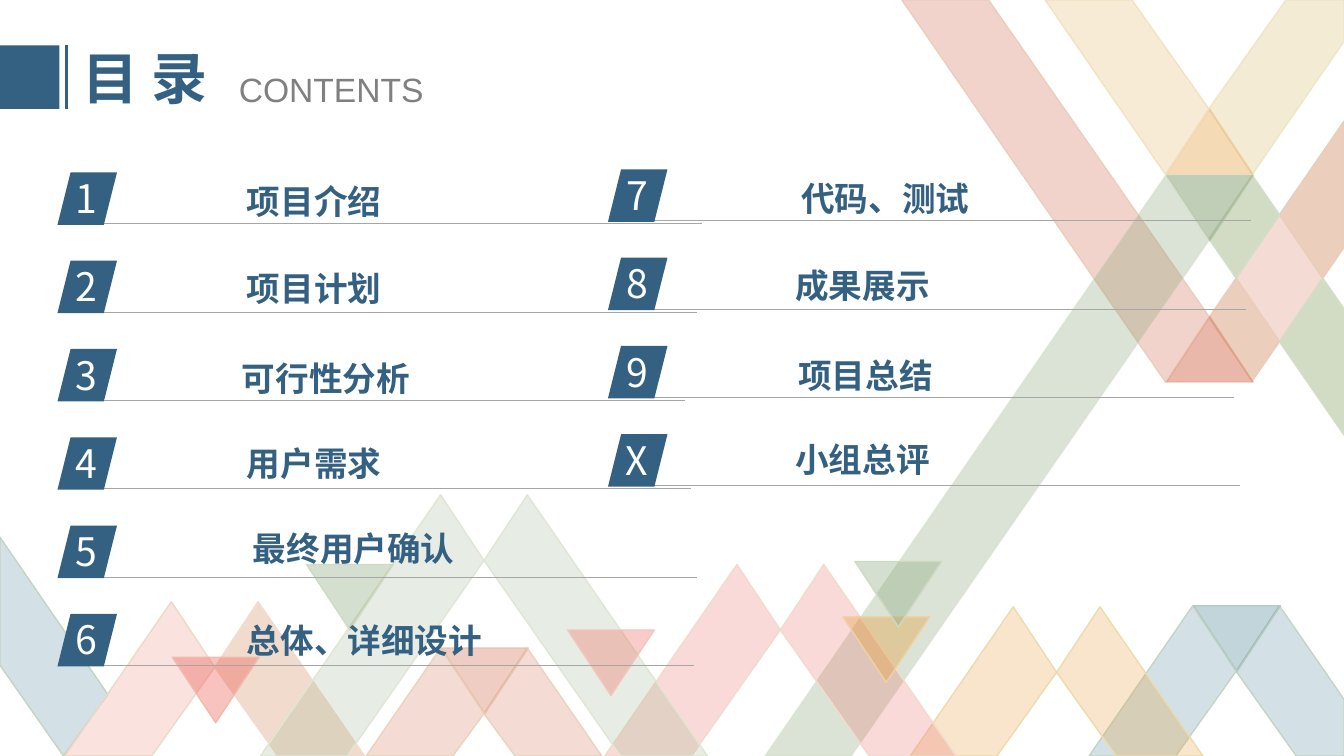
"""Build a contents slide with numbered entries over translucent ribbons."""
from dataclasses import dataclass

from lxml import etree
from pptx import Presentation
from pptx.dml.color import RGBColor
from pptx.enum.shapes import MSO_CONNECTOR, MSO_SHAPE
from pptx.enum.text import MSO_ANCHOR, MSO_AUTO_SIZE, PP_ALIGN
from pptx.oxml.ns import qn
from pptx.shapes.autoshape import Shape
from pptx.slide import Slide
from pptx.util import Inches, Pt

STRAIGHT = MSO_CONNECTOR.STRAIGHT
RECTANGLE, PARALLELOGRAM = MSO_SHAPE.RECTANGLE, MSO_SHAPE.PARALLELOGRAM
LEFT, CENTER = PP_ALIGN.LEFT, PP_ALIGN.CENTER
TOP, MIDDLE = MSO_ANCHOR.TOP, MSO_ANCHOR.MIDDLE
NO_AUTOFIT = MSO_AUTO_SIZE.NONE
TITLE_ONLY = 5

SLIDE_WIDTH, SLIDE_HEIGHT = 13.33, 7.5
SLOPE, HALF, RISE = 0.69, 0.43, 0.65
FIRST_ROW, ROW_PITCH = 1.71, 0.876
WEAVE_X, WEAVE_Y = 12.69, 2.76

Point = tuple[float, float]
Box = tuple[float, float, float, float]


@dataclass(frozen=True)
class Theme:
    """Colours, fonts and type sizes of the slide."""
    accent: str = "346182"
    rule: str = "A6A6A6"
    subtitle: str = "808080"
    white: str = "FFFFFF"
    chinese_font: str = "Noto Sans CJK SC"
    latin_font: str = "Arial"
    title_size: float = 40
    number_size: float = 28
    label_size: float = 24
    rose: str = "ED6F65"
    clay: str = "D57053"
    amber: str = "E49B35"
    sage: str = "A2B894"
    moss: str = "88A378"
    leaf: str = "89A67A"
    teal: str = "508799"
    sand: str = "F1DBCC"


THEME = Theme()


@dataclass(frozen=True)
class Paint:
    """Fill, outline and opacity of a pattern piece."""
    fill: str
    outline: str
    opacity: int = 25
    faded_outline: bool = False


@dataclass(frozen=True)
class Band:
    """A diagonal strip from its tip to the height where it is cut."""
    x: float
    y: float
    direction: int
    paint: Paint
    end: float = SLIDE_HEIGHT

    def points(self) -> list[Point]:
        """Return the corners, with the tip first."""
        down = 1 if self.end > self.y else -1
        run = self.direction * SLOPE * abs(self.end - self.y)
        tip_end, step = self.x + run, self.direction * HALF * 2
        return [(self.x, self.y), (self.x - step / 2, self.y + down * RISE),
                (tip_end - step, self.end), (tip_end, self.end)]


@dataclass(frozen=True)
class Tile:
    """A triangle where two bands cross."""
    left: float
    top: float
    paint: Paint
    points_up: bool = False

    def points(self) -> list[Point]:
        """Return the corners."""
        base, tip = self.top, self.top + RISE
        if self.points_up:
            base, tip = tip, base
        return [(self.left, base), (self.left + HALF * 2, base), (self.left + HALF, tip)]


@dataclass(frozen=True)
class Row:
    """Position of the rule end and the label of a row."""
    rule_end: float
    label_top: float


@dataclass(frozen=True)
class Column:
    """A column of numbered labels, each with its left edge."""
    left: float
    shift: float
    rule_shift: float
    numbers: str
    labels: tuple[tuple[str, float], ...]


PEAKS = (
    (1.7, 5.97, Paint("EE8F82", "EED9C6"), Paint(THEME.sand, THEME.sand, 100)),
    (4.37, 4.91, *[Paint(THEME.sage, "E0E6D3")] * 2),
    (4.37, 6.43, *[Paint(THEME.clay, "EAD3BF")] * 2),
    (11.83, 6.01, *[Paint(THEME.teal, "C4D5C6")] * 2),
    (10.05, 6.02, *[Paint(THEME.amber, "EBDCB0")] * 2),
)
ROSE_PAINT = Paint(THEME.rose, THEME.sand)
PEAK_BANDS = [Band(x + side * HALF * 2, y, 2 * side - 1, paints[side])
              for x, y, *paints in PEAKS for side in (0, 1)]
BANDS = (
    Band(7.31, 5.6, -1, ROSE_PAINT),
    Band(11.56, 1.73, -1, Paint("E7B05E", "EFE3C2"), 0),
    Band(12.42, 1.73, 1, Paint("EFE3C2", "EEE6C8", 71), 0),
    *PEAK_BANDS,
    Band(11.56, 3.79, -1, Paint(THEME.clay, "EACEBC", 30), 0),
    Band(11.56, 1.74, -1, Paint(THEME.moss, "D3DCC5", 30, True)),
    Band(8.17, 5.6, 1, ROSE_PAINT),
)
TILES = (
    Tile(11.57, 3.14, Paint(THEME.clay, "DF9B83", 49, True), True),
    Tile(11.57, 1.08, Paint(THEME.amber, "EBD09D", 36, True), True),
    Tile(11.57, 1.74, Paint(THEME.moss, "B3C4A5", 53, True)),
    Tile(4.38, 6.43, Paint(THEME.clay, "E6C6B1", 35)),
    Tile(5.63, 6.25, Paint(THEME.rose, "F2C7BA", 35)),
    Tile(11.84, 6.01, Paint(THEME.teal, "B5CAC1", 35)),
    Tile(8.36, 6.12, Paint(THEME.amber, "EBD3A3", 35)),
    Tile(1.71, 6.52, Paint("ED5249", "EFBBAB", 35)),
    Tile(3.04, 5.6, Paint(THEME.leaf, "CFDAC2", 35)),
    Tile(8.48, 5.57, Paint(THEME.leaf, "CFDAC2", 35)),
)
ROWS = (Row(6.96, 1.75), Row(6.91, 2.61), Row(6.79, 3.5),
        Row(6.85, 4.34), Row(6.91, 5.19), Row(6.88, 6.1))
COLUMNS = (
    Column(0.57, 0, 0, "123456", (
        ("项目介绍", 2.35), ("项目计划", 2.35), ("可行性分析", 2.3),
        ("用户需求", 2.35), ("最终用户确认", 2.41), ("总体、详细设计", 2.35))),
    Column(6.03, -0.03, 5.45, "789X", (
        ("代码、测试", 7.85), ("成果展示", 7.79), ("项目总结", 7.82), ("小组总评", 7.79))),
)


def write_text(shape: Shape, text: str, *, size: float, color: str,
               font: str = THEME.chinese_font, bold: bool = False, align: PP_ALIGN = LEFT,
               anchor: MSO_ANCHOR = TOP, wrap: bool = True) -> None:
    """Put one formatted paragraph in a shape."""
    frame = shape.text_frame
    frame.word_wrap, frame.auto_size, frame.vertical_anchor = wrap, NO_AUTOFIT, anchor
    paragraph = frame.paragraphs[0]
    paragraph.alignment = align
    run = paragraph.add_run()
    run.text = text
    run.font.size, run.font.bold, run.font.name = Pt(size), bold, font
    run.font.color.rgb = RGBColor.from_string(color)
    for latin in list(shape.element.iter(qn("a:latin"))):
        latin.addnext(etree.Element(qn("a:ea"), typeface=font))


def add_text(slide: Slide, box: Box, text: str, **style) -> None:
    """Add a text box placed in inches."""
    write_text(slide.shapes.add_textbox(*map(Inches, box)), text, **style)


def fill_shape(shape: Shape, color: str) -> None:
    """Give a shape a plain fill without shadow or line."""
    shape.shadow.inherit = False
    shape.fill.solid()
    shape.fill.fore_color.rgb = RGBColor.from_string(color)
    shape.line.fill.background()


def add_block(slide: Slide, kind: MSO_SHAPE, box: Box) -> None:
    """Add a preset shape in the accent colour."""
    fill_shape(slide.shapes.add_shape(kind, *map(Inches, box)), THEME.accent)


def add_line(slide: Slide, start: Point, end: Point, color: str, width: float) -> None:
    """Add a straight line without shadow."""
    line = slide.shapes.add_connector(STRAIGHT, *map(Inches, start + end))
    line.line.color.rgb = RGBColor.from_string(color)
    line.line.width = Pt(width)
    etree.SubElement(line.element.spPr, qn("a:effectLst"))


def clip_right(points: list[Point]) -> list[Point]:
    """Cut a polygon at the right edge of the slide."""
    kept = []
    for (x1, y1), (x2, y2) in zip(points, points[1:] + points[:1]):
        if x1 <= SLIDE_WIDTH:
            kept.append((x1, y1))
        if (x1 <= SLIDE_WIDTH) != (x2 <= SLIDE_WIDTH):
            kept.append((SLIDE_WIDTH, y1 + (y2 - y1) * (SLIDE_WIDTH - x1) / (x2 - x1)))
    return kept


def add_polygon(slide: Slide, points: list[Point], paint: Paint) -> None:
    """Draw one piece of the background pattern."""
    corners = [(Inches(x), Inches(y)) for x, y in clip_right(points)]
    builder = slide.shapes.build_freeform(*corners[0])
    builder.add_line_segments(corners[1:], close=True)
    shape = builder.convert_to_shape()
    fill_shape(shape, paint.fill)
    shape.line.color.rgb = RGBColor.from_string(paint.outline)
    shape.line.width = Pt(1)
    colors = list(shape.element.spPr.iter(qn("a:srgbClr")))
    for color in colors if paint.faded_outline else colors[:1]:
        etree.SubElement(color, qn("a:alpha"), val=str(paint.opacity * 1000))


def add_weave(slide: Slide) -> None:
    """Draw the crossing of two bands at the right edge."""
    x, y, tall = WEAVE_X, WEAVE_Y, 0.63
    diamond = [(x, y - tall), (x + HALF, y), (x, y + tall), (x - HALF, y)]
    add_polygon(slide, diamond, Paint(THEME.clay, "EAD3BE"))
    clay, green = Paint("EBCEBC", "EACDBA", 100), Paint("D2DBC4", "D3DDC7", 100)
    for side, upper, lower, reach in ((1, clay, green, 0.96), (-1, green, clay, 0.27)):
        for flip, paint in ((-1, upper), (1, lower)):
            far = x + side * reach / 1.0 * SLOPE if side > 0 else x - reach
            outer = [(far, y + flip * (tall + reach / SLOPE * (SLOPE if side > 0 else 1))),
                     (x + side * (HALF + reach), y + flip * reach / SLOPE)]
            add_polygon(slide, [(x, y + flip * tall), outer[0], outer[1],
                                (x + side * HALF, y)], paint)


def add_entry(slide: Slide, column: Column, index: int) -> None:
    """Draw the rule, badge, number and label of an entry."""
    row, (label, label_left) = ROWS[index], column.labels[index]
    left, top = column.left, FIRST_ROW + column.shift + index * ROW_PITCH
    rule_y = top + 0.51
    add_line(slide, (left + HALF, rule_y), (row.rule_end + column.rule_shift, rule_y),
             THEME.rule, 0.5)
    add_block(slide, PARALLELOGRAM, (left, top, 0.59, 0.52))
    add_text(slide, (left, top - 0.03, 0.58, 0.57), column.numbers[index],
             size=THEME.number_size, color=THEME.white, align=CENTER)
    add_text(slide, (label_left, row.label_top + column.shift, len(label) / 3 + 0.2, 0.5),
             label, size=THEME.label_size, color=THEME.accent, bold=True, wrap=False)


def main() -> None:
    """Create and save the presentation."""
    presentation = Presentation()
    presentation.slide_width, presentation.slide_height = map(Inches, (SLIDE_WIDTH, SLIDE_HEIGHT))
    slide = presentation.slides.add_slide(presentation.slide_layouts[TITLE_ONLY])
    add_weave(slide)
    add_polygon(slide, [(0, 5.33), (1.07, 6.89), (0.63, 7.5), (0, 6.6)],
                Paint(THEME.teal, "C3D4C3"))
    for piece in BANDS + TILES:
        add_polygon(slide, piece.points(), piece.paint)
    add_block(slide, RECTANGLE, (0, 0.45, 0.59, 0.63))
    add_line(slide, (0.66, 0.45), (0.66, 1.08), THEME.accent, 2.25)
    title = slide.shapes.title
    title.left, title.top, title.width, title.height = map(Inches, (0.72, 0.38, 1.54, 0.77))
    write_text(title, "目 录", size=THEME.title_size, color=THEME.accent, bold=True, anchor=MIDDLE)
    add_text(slide, (2.27, 0.63, 2.5, 0.5), "CONTENTS", size=THEME.label_size,
             color=THEME.subtitle, font=THEME.latin_font)
    for column in COLUMNS:
        for index in range(len(column.labels)):
            add_entry(slide, column, index)
    presentation.save("out.pptx")


if __name__ == "__main__":
    main()
